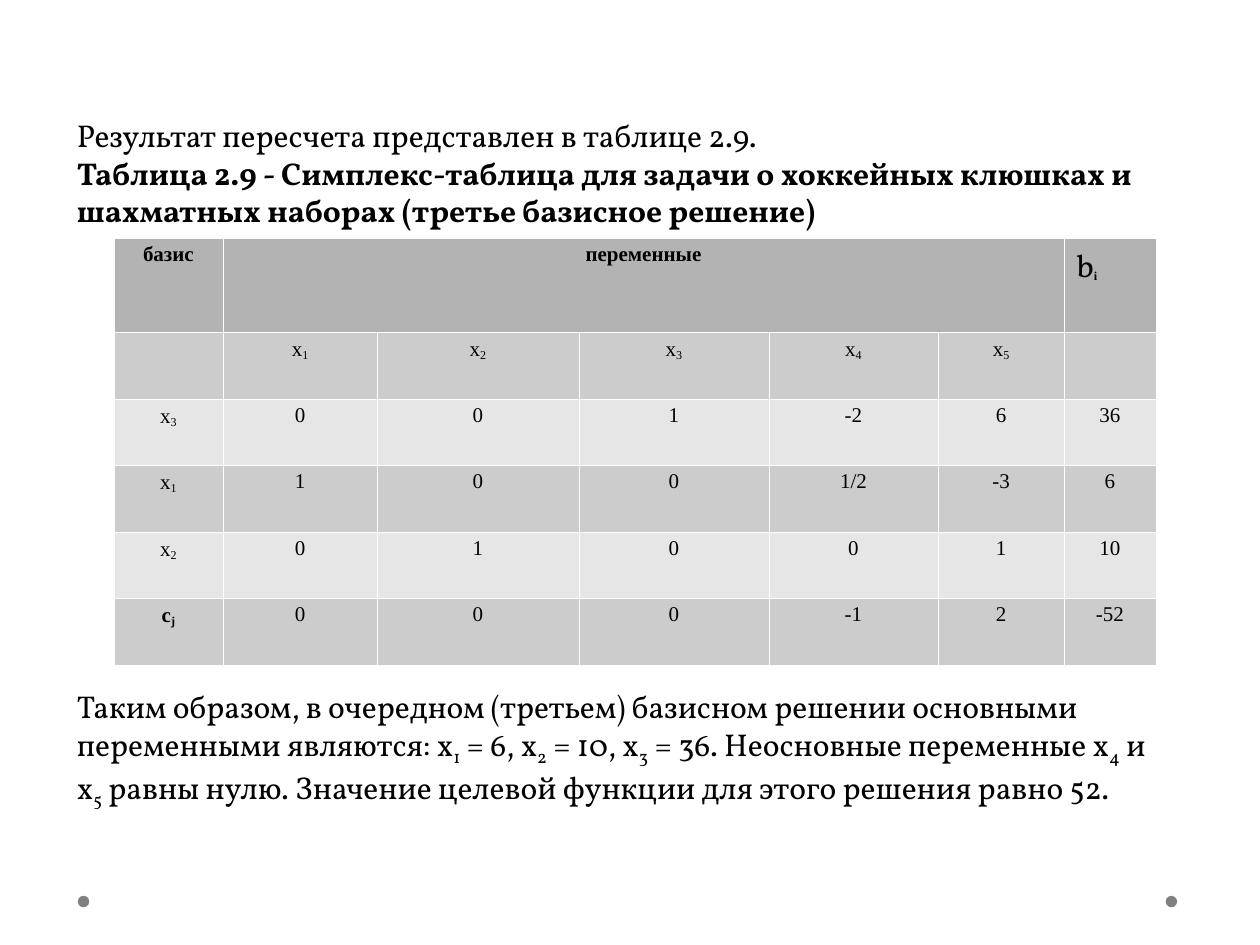
from lxml.etree import SubElement
from pptx import Presentation
from pptx.dml.color import RGBColor
from pptx.enum.shapes import MSO_SHAPE
from pptx.enum.text import MSO_AUTO_SIZE, PP_ALIGN
from pptx.oxml.ns import qn
from pptx.util import Cm, Pt

BLACK = RGBColor(0x00, 0x00, 0x00)
WHITE = RGBColor(0xFF, 0xFF, 0xFF)
DOT_GRAY = RGBColor(0x7F, 0x7F, 0x7F)
HEADER_GRAY = RGBColor(0xB3, 0xB3, 0xB3)
BAND_GRAYS = (RGBColor(0xCC, 0xCC, 0xCC), RGBColor(0xE6, 0xE6, 0xE6))

# Content: text between a pair of underscores is a subscript
INTRO = [
    ("Результат пересчета представлен в таблице 2.9.", False),
    ("Таблица 2.9 - Симплекс-таблица для задачи о хоккейных клюшках и "
     "шахматных наборах (третье базисное решение)", True),
]
CONCLUSION = [
    ("Таким образом, в очередном (третьем) базисном решении основными "
     "переменными являются: x_1_ = 6, x_2_ = 10, x_3_ = 36. Неосновные "
     "переменные x_4_ и x_5_ равны нулю. Значение целевой функции для "
     "этого решения равно 52.", False),
]
SIMPLEX_ROWS = [
    ["базис", "переменные", "", "", "", "", "b_i_"],
    ["", "x_1_", "x_2_", "x_3_", "x_4_", "x_5_", ""],
    ["x_3_", "0", "0", "1", "-2", "6", "36"],
    ["x_1_", "1", "0", "0", "1/2", "-3", "6"],
    ["x_2_", "0", "1", "0", "0", "1", "10"],
    ["c_j_", "0", "0", "0", "-1", "2", "-52"],
]
COLUMN_WIDTHS = [2.21, 3.1, 4.07, 3.83, 3.41, 2.54, 1.85]
ROW_HEIGHTS = [1.9] + [1.34] * 5

# Left, top, width, height in centimetres
TEXT_BLOCKS = [
    (INTRO, (1.3, 2.21, 23.01, 2.54)),
    (CONCLUSION, (1.3, 13.72, 22.61, 2.74)),
]
TABLE_LEFT, TABLE_TOP = 2.29, 4.8
DOT_LEFTS, DOT_TOP, DOT_SIZE = (1.57, 23.5), 18.06, 0.23

BODY = {"name": "Vollkorn", "size": Pt(18), "bold": False}
CELL = {"name": "Times New Roman", "size": Pt(12), "bold": False}
BOLD_CELL = {**CELL, "bold": True}


def add_runs(paragraph, text, main_format, subscript_format, baseline):
    for index, part in enumerate(text.split("_")):
        if not part:
            continue
        is_subscript = index % 2 == 1
        run = paragraph.add_run()
        run.text = part
        for name, value in (subscript_format if is_subscript else main_format).items():
            setattr(run.font, name, value)
        run.font.color.rgb = BLACK
        if is_subscript:
            run.font._element.set("baseline", str(baseline * 1000))


def add_borders(cell):
    properties = cell._tc.get_or_add_tcPr()
    for side in ("a:lnL", "a:lnR", "a:lnT", "a:lnB"):
        line = SubElement(properties, qn(side), w=str(Pt(0.06)))
        fill = SubElement(line, qn("a:solidFill"))
        SubElement(fill, qn("a:srgbClr"), val=str(WHITE))


presentation = Presentation()
presentation.slide_width, presentation.slide_height = Cm(25.4), Cm(19.05)
slide = presentation.slides.add_slide(presentation.slide_layouts[6])

# Footer dots
for left in DOT_LEFTS:
    dot = slide.shapes.add_shape(
        MSO_SHAPE.OVAL, Cm(left), Cm(DOT_TOP), Cm(DOT_SIZE), Cm(DOT_SIZE))
    dot.shadow.inherit = False
    dot.fill.solid()
    dot.fill.fore_color.rgb = DOT_GRAY
    dot.line.fill.background()

# Simplex table
table = slide.shapes.add_table(
    len(ROW_HEIGHTS), len(COLUMN_WIDTHS), Cm(TABLE_LEFT), Cm(TABLE_TOP),
    Cm(sum(COLUMN_WIDTHS)), Cm(sum(ROW_HEIGHTS))).table
table.first_row = table.horz_banding = False
for column, width in zip(table.columns, COLUMN_WIDTHS):
    column.width = Cm(width)
for row, height in zip(table.rows, ROW_HEIGHTS):
    row.height = Cm(height)
table.cell(0, 1).merge(table.cell(0, 5))

for row_index, texts in enumerate(SIMPLEX_ROWS):
    row_color = BAND_GRAYS[(row_index - 1) % 2] if row_index else HEADER_GRAY
    for column_index, text in enumerate(texts):
        cell = table.cell(row_index, column_index)
        add_borders(cell)
        cell.fill.solid()
        cell.fill.fore_color.rgb = row_color
        if not text:
            continue
        paragraph = cell.text_frame.paragraphs[0]
        is_constant_header = text == "b_i_"
        is_bold = row_index == 0 or text == "c_j_"
        cell_format = BOLD_CELL if is_bold else CELL
        paragraph.alignment = PP_ALIGN.LEFT if is_constant_header else PP_ALIGN.CENTER
        paragraph.line_spacing = 1.08 if is_constant_header else 0.93
        add_runs(paragraph, text, BODY if is_constant_header else cell_format,
                 cell_format, -14)

# Text above and below the table
for paragraphs, box in TEXT_BLOCKS:
    frame = slide.shapes.add_textbox(*map(Cm, box)).text_frame
    frame.word_wrap = True
    frame.auto_size = MSO_AUTO_SIZE.SHAPE_TO_FIT_TEXT
    for index, (text, bold) in enumerate(paragraphs):
        paragraph = frame.add_paragraph() if index else frame.paragraphs[0]
        text_format = {**BODY, "bold": bold}
        add_runs(paragraph, text, text_format, text_format, -25)

presentation.save("out.pptx")
